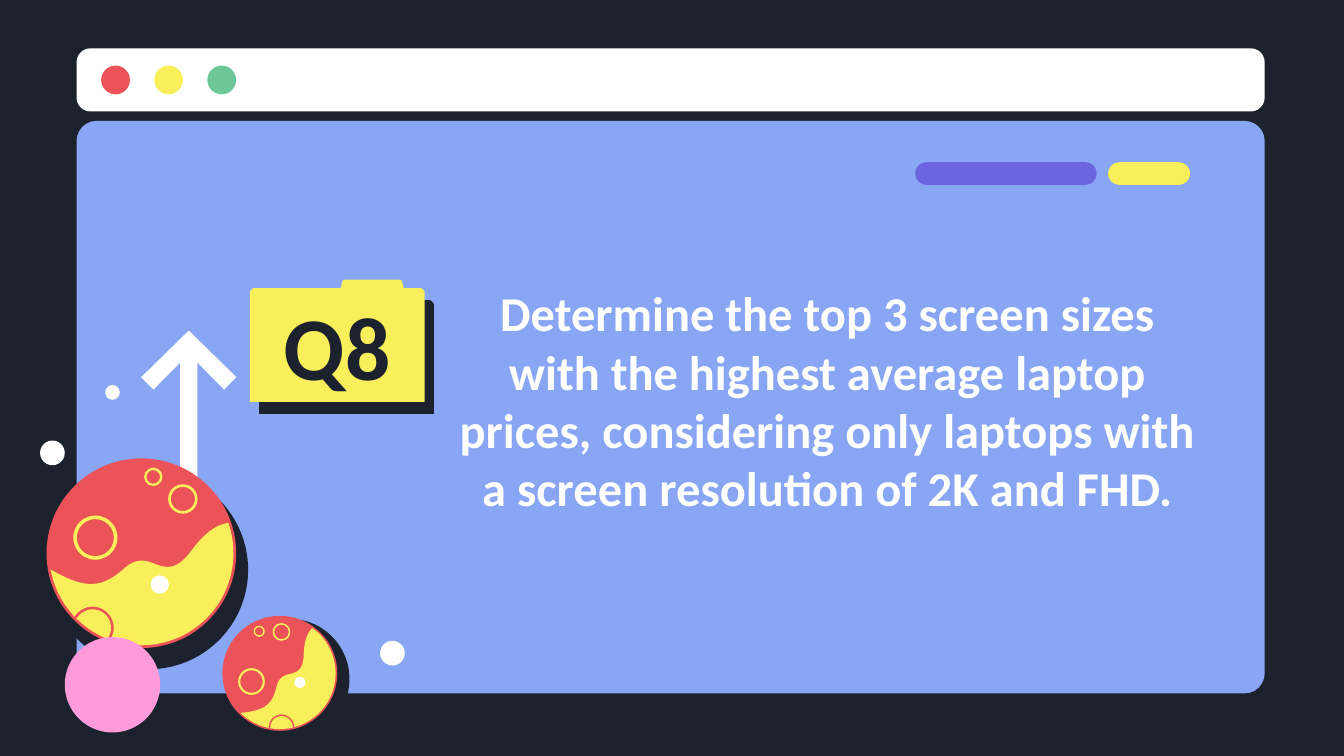
from math import cos, radians, sin

from lxml.etree import SubElement
from pptx import Presentation
from pptx.dml.color import RGBColor
from pptx.enum.shapes import MSO_SHAPE
from pptx.enum.text import MSO_ANCHOR, PP_ALIGN
from pptx.oxml.ns import qn
from pptx.util import Inches, Pt

NAVY, BLUE, WHITE, RED = "1B222D", "88A6F3", "FFFFFF", "EB5358"
YELLOW, GREEN, PURPLE, PINK = "F8EF5B", "6DC797", "6D65E0", "FF9BDA"
COLUMNS = 100

prs = Presentation()
prs.slide_width = Inches(10)
prs.slide_height = prs.slide_width * 9 // 16
UNIT = prs.slide_width // COLUMNS


def color(value):
    return RGBColor.from_string(value)


def grid(*values):
    return [round(v * UNIT) for v in values]


def paint(sp, fill):
    sp.shadow.inherit = False
    sp.fill.solid()
    sp.fill.fore_color.rgb = color(fill)
    sp.line.fill.background()
    return sp


def add_preset(s, kind, box, fill, adj=None):
    sp = s.shapes.add_shape(kind, *grid(*box))
    if adj is not None:
        sp.adjustments[0] = adj
    return paint(sp, fill)


def add_disc(s, cx, cy, radius, fill, kind=MSO_SHAPE.OVAL, adj=None):
    box = (cx - radius, cy - radius, 2 * radius, 2 * radius)
    return add_preset(s, kind, box, fill, adj)


def add_outline(s, contours, fill):
    contours = [[grid(*point) for point in c] for c in contours]
    builder = s.shapes.build_freeform(*contours[0][0], scale=1.0)
    builder.add_line_segments(contours[0][1:], close=True)
    for contour in contours[1:]:
        builder.move_to(*contour[0])
        builder.add_line_segments(contour[1:], close=True)
    return paint(builder.convert_to_shape(), fill)


def add_text(s, box, text, size=26, fill=WHITE, font="Calibri", bold=True):
    tf = s.shapes.add_textbox(*grid(*box)).text_frame
    tf.word_wrap = True
    tf.vertical_anchor = MSO_ANCHOR.MIDDLE
    tf.margin_left = tf.margin_right = tf.margin_top = tf.margin_bottom = UNIT
    p = tf.paragraphs[0]
    p.alignment = PP_ALIGN.CENTER
    r = p.add_run()
    r.text = text
    r.font.name, r.font.size, r.font.bold = font, Pt(size), bold
    r.font.color.rgb = color(fill)


def arc(cx, cy, radius, start, end, steps=32):
    angles = [radians(start + (end - start) * i / steps) for i in range(steps + 1)]
    return [(cx + radius * cos(a), cy + radius * sin(a)) for a in angles]


def bezier(a, b, c, d, steps=20):
    def blend(t, i):
        u = 1 - t
        return (u**3 * a[i] + 3 * u * u * t * b[i]
                + 3 * u * t * t * c[i] + t**3 * d[i])
    return [(blend(k / steps, 0), blend(k / steps, 1)) for k in range(steps + 1)]


def within(box, points):
    x, y, w, h = box
    return [(x + w * px, y + h * py) for px, py in points]


def add_title_bar(s, box):
    x, y, w, h = box
    add_preset(s, MSO_SHAPE.ROUNDED_RECTANGLE, box, WHITE, 0.22)
    for i, fill in enumerate((RED, YELLOW, GREEN)):
        add_disc(s, x + 2.9 + 3.95 * i, y + h / 2, 1.07, fill)


def add_panel(s, box):
    x, y, w, h = box
    add_preset(s, MSO_SHAPE.ROUNDED_RECTANGLE, box, BLUE, 0.035)
    for left, width, fill in ((62.4, 13.5, PURPLE), (76.75, 6.1, YELLOW)):
        pill = (x + left, y + 3.07, width, 1.68)
        add_preset(s, MSO_SHAPE.ROUNDED_RECTANGLE, pill, fill, 0.5)


def add_up_arrow(s, box):
    left = [(0.41, 1), (0.41, 0.13), (0.13, 0.24), (0, 0.19)]
    right = [(1 - x, y) for x, y in reversed(left)]
    add_outline(s, [within(box, left + [(0.5, 0)] + right)], WHITE)


def add_folder(s, box, label):
    x, y, w, h = box
    points = [(0, 1), (0, 0.1), (0.01, 0.08), (0.02, 0.07), (0.52, 0.07),
              (0.53, 0.01), (0.54, 0), (0.86, 0), (0.87, 0.01), (0.88, 0.07),
              (0.98, 0.07), (0.99, 0.08), (1, 0.1), (1, 1)]
    sp = add_outline(s, [within(box, points)], YELLOW)
    effects = sp._element.spPr.find(qn("a:effectLst"))
    shadow = SubElement(effects, qn("a:outerShdw"), blurRad="0",
                        dist=str(Pt(8.2)), dir=str(53 * 60000),
                        algn="bl", rotWithShape="0")
    SubElement(shadow, qn("a:srgbClr"), val=NAVY)
    add_text(s, (x + 1.1, y + 2.6, w - 2.2, h / 2), label, size=48, fill=NAVY)


def add_planet(s, cx, cy, radius, turn=0):
    c, n = cos(radians(turn)), sin(radians(turn))

    def spot(x, y):
        return cx + radius * (x * c - y * n), cy + radius * (x * n + y * c)

    def disc(x, y, size, fill, **kw):
        add_disc(s, *spot(x, y), size * radius, fill, **kw)

    disc(0.08, 0.18, 1.08, NAVY)
    disc(0, 0, 1.03, RED)
    for x, y, size, adj in ((-0.5, -0.17, 0.24, 0.08), (0.45, -0.59, 0.16, 0.09),
                            (0.13, -0.83, 0.1, 0.13)):
        disc(x, y, size, YELLOW, kind=MSO_SHAPE.DONUT, adj=adj)
    crater = (-0.53, 0.81)
    coast = (arc(0, 0, 1, -19, 110) + arc(*crater, 0.23, 31, -148)
             + arc(0, 0, 1, 136, 170)
             + bezier((-0.98, 0.18), (-0.61, 0.39), (-0.43, 0.39), (-0.17, 0.15))
             + bezier((-0.17, 0.15), (0.12, -0.09), (0.24, 0.4), (0.56, -0.05))
             + bezier((0.56, -0.05), (0.72, -0.26), (0.84, -0.31), (0.94, -0.33)))
    floor = arc(*crater, 0.2, 31, -148) + arc(0, 0, 1, 135, 111)
    add_outline(s, [[spot(*p) for p in line] for line in (coast, floor)], YELLOW)
    disc(0.2, 0.34, 0.1, WHITE)


def build_slide(s):
    s.background.fill.solid()
    s.background.fill.fore_color.rgb = color(NAVY)
    add_panel(s, (5.7, 9, 88.4, 42.6))
    add_title_bar(s, (5.7, 3.6, 88.4, 4.7))
    add_up_arrow(s, (10.5, 24.6, 7.1, 18.3))
    add_folder(s, (18.6, 20.8, 13, 9.1), "Q8")
    add_text(s, (32.6, 20.5, 58, 18.5),
             "Determine the top 3 screen sizes with the highest average laptop "
             "prices, considering only laptops with a screen resolution of 2K "
             "and FHD.")
    add_planet(s, 10.52, 41.17, 6.85)
    add_disc(s, 8.37, 50.95, 3.55, PINK)
    add_planet(s, 20.82, 50.1, 4.15, turn=-35)
    for cx, cy, radius in ((3.9, 33.7, 0.92), (29.2, 48.6, 0.92), (8.37, 29.2, 0.55)):
        add_disc(s, cx, cy, radius, WHITE)


build_slide(prs.slides.add_slide(prs.slide_layouts[6]))
prs.save("out.pptx")
